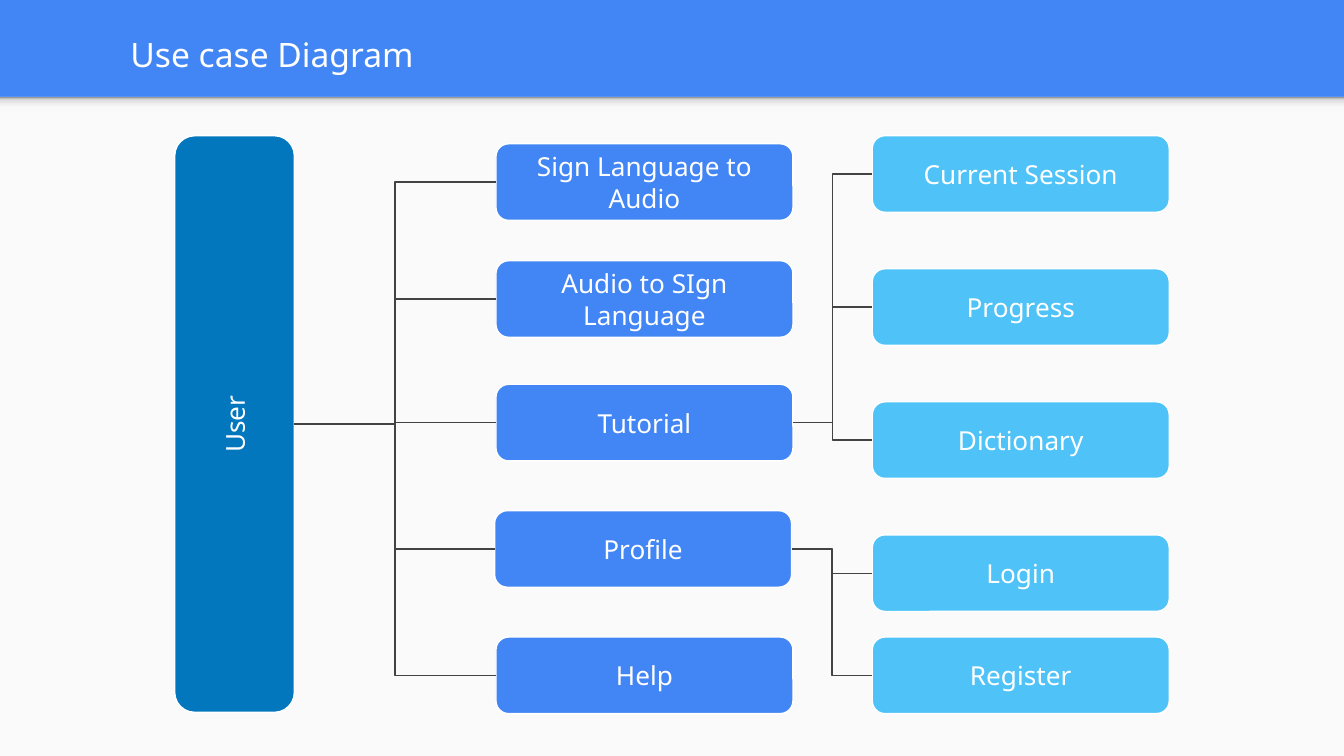
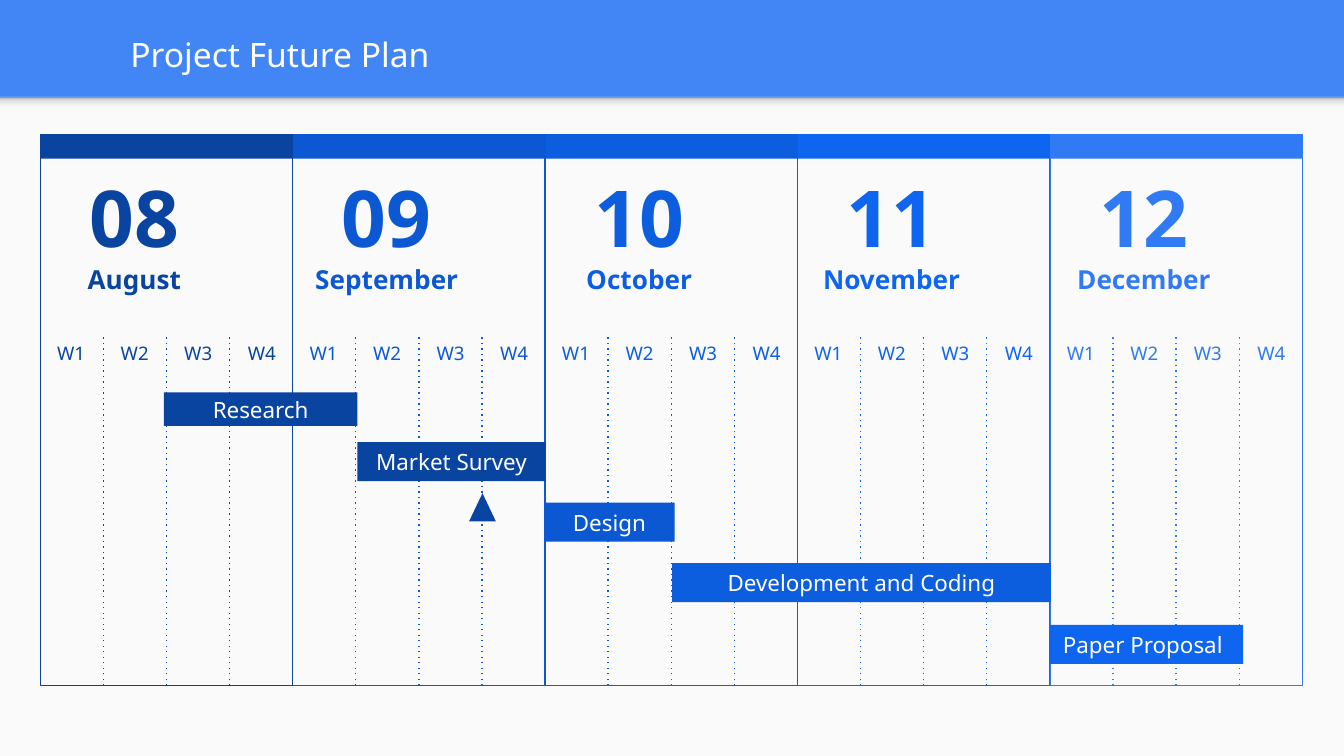
from dataclasses import dataclass
from typing import Optional, Union

import pptx
import pptx.dml.color
import pptx.dml.fill
import pptx.enum.dml
import pptx.enum.shapes
import pptx.enum.text
import pptx.oxml
import pptx.oxml.ns
import pptx.presentation
import pptx.shapes.autoshape
import pptx.shapes.connector
import pptx.shapes.shapetree
import pptx.slide
import pptx.util
from pptx.util import Inches

Shapes = Union[pptx.shapes.shapetree.SlideShapes, pptx.shapes.shapetree.GroupShapes]
Shape = pptx.shapes.autoshape.Shape
Connector = pptx.shapes.connector.Connector
Preset = pptx.enum.shapes.MSO_SHAPE
ConnectorType = pptx.enum.shapes.MSO_CONNECTOR
Align = pptx.enum.text.PP_ALIGN
qn = pptx.oxml.ns.qn

FONT = "Noto Sans"
WHITE = "FFFFFF"
BLUE = "4285F4"
PAGE = "FAFAFA"
DEEP_BLUE = "0277BD"
SKY = "4FC3F7"
CONNECTOR_GREY = "434343"
BAND_SHADOW = [(0, "F9F9F9"), (36, "F9F9F9"), (80, "DEDEDE"), (100, "999999")]
NAVY, ROYAL, COBALT, AZURE, LIGHT = "0944A1", "0C58D3", "0D5DDF", "0E65F0", "307BF3"


@dataclass(frozen=True)
class Box:
    left: float
    top: float
    width: float
    height: float


@dataclass(frozen=True)
class Node:
    """One box of the use case tree and the name of the box it hangs from."""
    text: str
    box: Box
    color: str
    parent: Optional[str] = None
    rotation: int = 0


@dataclass(frozen=True)
class Month:
    number: str
    name: str
    color: str


@dataclass(frozen=True)
class Task:
    name: str
    box: Box
    color: str
    align: Align = Align.CENTER


def use_case(text: str, top: float, left: float = 3.69) -> Node:
    return Node(text, Box(left, top, 2.21, 0.57), BLUE, "User")


def detail(text: str, top: float, parent: str) -> Node:
    return Node(text, Box(6.49, top, 2.21, 0.57), SKY, parent)


NODES = [
    Node("User", Box(-0.4, 2.71, 4.29, 0.89), DEEP_BLUE, rotation=270),
    use_case("Sign Language to Audio", 1.07),
    use_case("Audio to SIgn Language", 1.94),
    use_case("Tutorial", 2.86),
    use_case("Profile", 3.8, left=3.68),
    use_case("Help", 4.74),
    detail("Current Session", 1.01, "Tutorial"),
    detail("Progress", 2, "Tutorial"),
    detail("Dictionary", 2.99, "Tutorial"),
    detail("Login", 3.98, "Profile"),
    detail("Register", 4.74, "Profile"),
]

MONTHS = [
    Month("08", "August", NAVY),
    Month("09", "September", ROYAL),
    Month("10", "October", COBALT),
    Month("11", "November", AZURE),
    Month("12", "December", LIGHT),
]
CALENDAR = Box(0.3, 1, 9.39, 4.1)
MONTH_WIDTH = CALENDAR.width / len(MONTHS)
WEEKS = 4
WEEK_WIDTH = MONTH_WIDTH / WEEKS
WEEKS_TOP = 2.5
WEEK_LABEL_WIDTH = 0.46
WEEK_LABEL_STEP = (MONTH_WIDTH - WEEK_LABEL_WIDTH) / (WEEKS - 1)

TASKS = [
    Task("Research", Box(1.22, 2.92, 1.44, 0.25), NAVY),
    Task("Market Survey", Box(2.66, 3.29, 1.4, 0.29), NAVY),
    Task("Development and Coding", Box(5, 4.19, 2.82, 0.29), COBALT),
    Task("Paper Proposal", Box(7.81, 4.65, 1.44, 0.29), AZURE, Align.LEFT),
    Task("Design", Box(4.05, 3.74, 0.97, 0.29), ROYAL),
]


def rgb(color: str) -> pptx.dml.color.RGBColor:
    return pptx.dml.color.RGBColor.from_string(color)


def paint(fill: pptx.dml.fill.FillFormat, color: str) -> None:
    fill.solid()
    fill.fore_color.rgb = rgb(color)


def place(box: Box) -> tuple:
    return tuple(Inches(n) for n in (box.left, box.top, box.width, box.height))


def write(shape: Shape, lines: list[tuple[str, float]], color: str,
          align: Align = Align.CENTER, bold: bool = False) -> None:
    """Fill a shape with (text, point size) paragraphs."""
    frame = shape.text_frame
    frame.word_wrap = True
    frame.vertical_anchor = pptx.enum.text.MSO_ANCHOR.MIDDLE
    frame.margin_left = frame.margin_right = Inches(0.1)
    frame.margin_top = frame.margin_bottom = Inches(0.1)
    for index, (text, size) in enumerate(lines):
        paragraph = frame.add_paragraph() if index else frame.paragraphs[0]
        paragraph.text = text
        paragraph.alignment = align
        paragraph.font.name = FONT
        paragraph.font.size = pptx.util.Pt(size)
        paragraph.font.bold = bold
        paragraph.font.color.rgb = rgb(color)


def add_box(shapes: Shapes, preset: Preset, box: Box, fill: Optional[str] = None,
            line: Optional[str] = None) -> Shape:
    shape = shapes.add_shape(preset, *place(box))
    shape.shadow.inherit = False
    if fill:
        paint(shape.fill, fill)
    else:
        shape.fill.background()
    if line:
        shape.line.color.rgb = rgb(line)
        shape.line.width = pptx.util.Pt(0.75)
    else:
        shape.line.fill.background()
    return shape


def add_label(shapes: Shapes, box: Box, lines: list[tuple[str, float]], color: str,
              bold: bool = False) -> None:
    write(shapes.add_textbox(*place(box)), lines, color, bold=bold)


def add_line(shapes: Shapes, kind: ConnectorType, start: tuple[float, float],
             end: tuple[float, float], color: str) -> Connector:
    connector = shapes.add_connector(kind, *(Inches(n) for n in start + end))
    connector.line.color.rgb = rgb(color)
    connector.line.width = pptx.util.Pt(0.75)
    connector._element.spPr.append(pptx.oxml.parse_xml(
        f"<a:effectLst {pptx.oxml.ns.nsdecls('a')}/>"))
    return connector


def set_dotted(connector: Connector) -> None:
    connector.line.dash_style = pptx.enum.dml.MSO_LINE.ROUND_DOT
    connector._element.spPr.find(".//" + qn("a:prstDash")).set("val", "dot")


def add_band_shadow(slide: pptx.slide.Slide) -> None:
    strip = add_box(slide.shapes, Preset.RECTANGLE, Box(0, 0.72, 10, 0.12))
    strip.fill.gradient()
    strip.fill.gradient_angle = 90
    stops = strip._element.spPr.find(".//" + qn("a:gsLst"))
    for stop in list(stops):
        stops.remove(stop)
    for percent, color in BAND_SHADOW:
        stops.append(pptx.oxml.parse_xml(
            f'<a:gs {pptx.oxml.ns.nsdecls("a")} pos="{percent * 1000}">'
            f'<a:srgbClr val="{color}"/></a:gs>'))


def add_titled_slide(presentation: pptx.presentation.Presentation,
                     title: str) -> pptx.slide.Slide:
    slide = presentation.slides.add_slide(presentation.slide_layouts.get_by_name("Title Only"))
    add_box(slide.shapes, Preset.RECTANGLE, Box(0, 0.72, 10, 4.91), PAGE)
    add_band_shadow(slide)
    heading = slide.shapes.title
    heading.left, heading.top, heading.width, heading.height = place(Box(0.87, 0.07, 7.82, 0.66))
    write(heading, [(title, 18)], WHITE, Align.LEFT)
    return slide


def right_edge(node: Node) -> tuple[float, float]:
    """Middle of the right edge, as seen after rotation."""
    box = node.box
    visible_width = box.height if node.rotation else box.width
    return (box.left + box.width / 2 + visible_width / 2, box.top + box.height / 2)


def build_use_cases(presentation: pptx.presentation.Presentation) -> None:
    slide = add_titled_slide(presentation, "Use case Diagram")
    nodes = {node.text: node for node in NODES}
    drawn = {}
    for node in NODES:
        shape = add_box(slide.shapes, Preset.ROUNDED_RECTANGLE, node.box, node.color, WHITE)
        shape.rotation = node.rotation
        write(shape, [(node.text, 14)], WHITE)
        drawn[node.text] = shape
        if node.parent:
            parent = nodes[node.parent]
            start = right_edge(parent)
            end = (node.box.left, node.box.top + node.box.height / 2)
            connector = add_line(slide.shapes, ConnectorType.ELBOW, start, end, CONNECTOR_GREY)
            # The bottom site of the turned box is the one that faces right.
            connector.begin_connect(drawn[node.parent], 2 if parent.rotation else 3)
            connector.end_connect(shape, 1)
            connector.begin_x, connector.begin_y = (Inches(n) for n in start)


def add_month(slide: pptx.slide.Slide, month: Month, left: float) -> None:
    shapes = slide.shapes.add_group_shape().shapes
    top, bottom = CALENDAR.top, CALENDAR.top + CALENDAR.height
    add_box(shapes, Preset.RECTANGLE, Box(left, top, MONTH_WIDTH, CALENDAR.height),
            line=month.color)
    add_box(shapes, Preset.RECTANGLE, Box(left, top, MONTH_WIDTH, 0.18), month.color)
    add_label(shapes, Box(left, 1.17, 1.4, 1.11), [(month.number, 42), (month.name, 14)],
              month.color, bold=True)
    for week in range(WEEKS):
        add_label(shapes, Box(left + week * WEEK_LABEL_STEP, WEEKS_TOP, WEEK_LABEL_WIDTH, 0.25),
                  [(f"W{week + 1}", 10)], month.color)
        if week:
            divider = left + week * WEEK_WIDTH
            set_dotted(add_line(shapes, ConnectorType.STRAIGHT, (divider, bottom),
                                (divider, WEEKS_TOP), month.color))


def build_future_plan(presentation: pptx.presentation.Presentation) -> None:
    slide = add_titled_slide(presentation, "Project Future Plan")
    for index, month in reversed(list(enumerate(MONTHS))):
        add_month(slide, month, CALENDAR.left + index * MONTH_WIDTH)
    for task in TASKS:
        bar = add_box(slide.shapes, Preset.RECTANGLE, task.box, task.color)
        write(bar, [(task.name, 12)], WHITE, task.align)
    add_box(slide.shapes, Preset.ISOSCELES_TRIANGLE, Box(3.49, 3.67, 0.2, 0.21), NAVY)


def main() -> None:
    presentation = pptx.Presentation()
    presentation.slide_width = Inches(10)
    presentation.slide_height = Inches(10 * 9 / 16)
    paint(presentation.slide_master.background.fill, BLUE)
    build_use_cases(presentation)
    build_future_plan(presentation)
    presentation.save("out.pptx")


if __name__ == "__main__":
    main()
